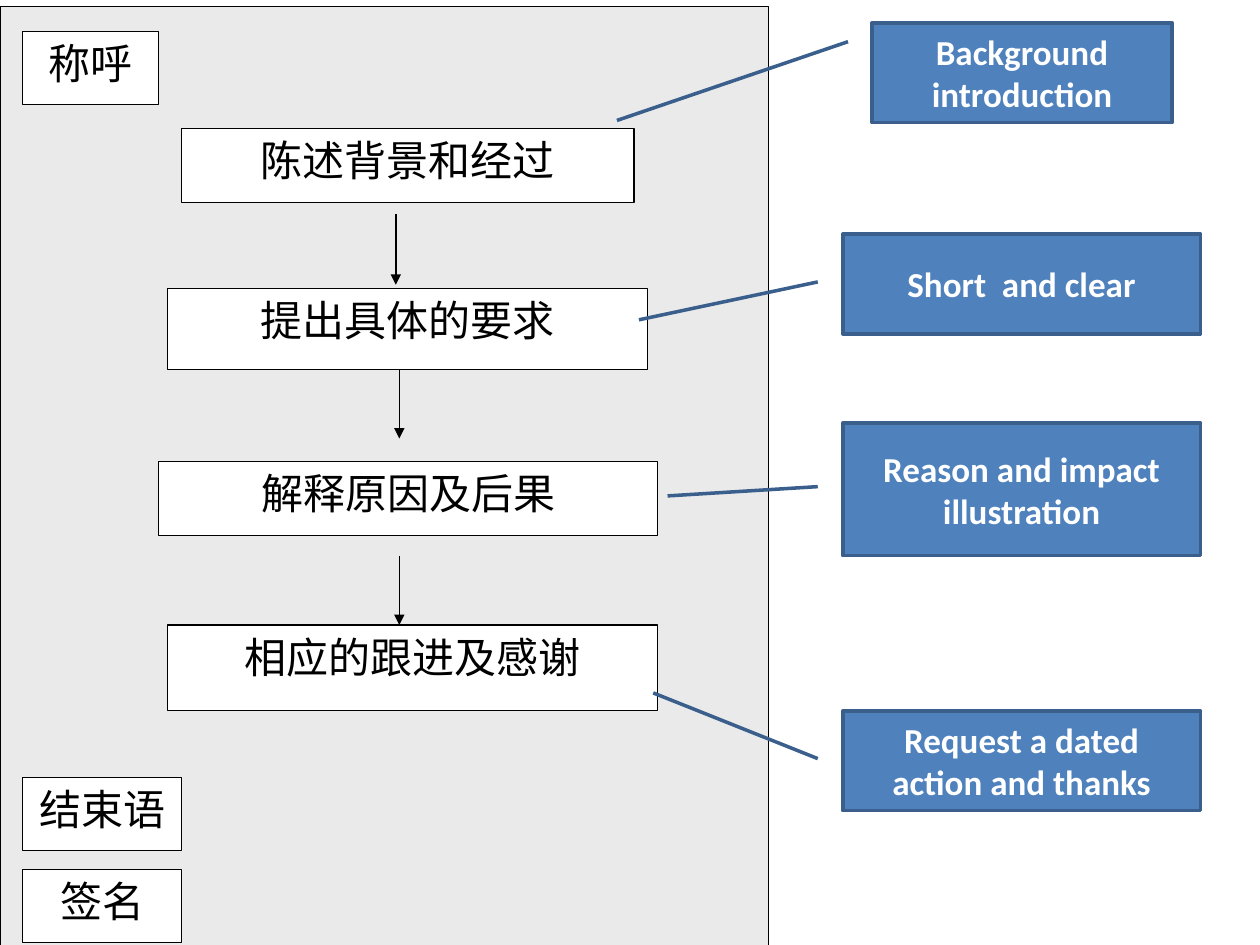
from lxml import etree
from pptx import Presentation
from pptx.dml.color import RGBColor
from pptx.enum.shapes import MSO_CONNECTOR, MSO_SHAPE
from pptx.enum.text import MSO_ANCHOR, PP_ALIGN
from pptx.oxml.ns import qn
from pptx.util import Cm, Pt

RECTANGLE = MSO_SHAPE.RECTANGLE
CALLOUT = MSO_SHAPE.LINE_CALLOUT_1
STRAIGHT = MSO_CONNECTOR.STRAIGHT
TOP, MIDDLE = MSO_ANCHOR.TOP, MSO_ANCHOR.MIDDLE
CENTER = PP_ALIGN.CENTER

CJK_FONT = "Noto Sans CJK SC"
THEME = {
    "panel": {"fill": "EAEAEA", "line": "000000", "width": Pt(0.75)},
    "step": {
        "fill": "FFFFFF", "line": "000000", "width": Pt(0.75),
        "text": "000000", "anchor": TOP,
        "font": {"name": "Times New Roman", "size": Pt(24)},
    },
    "note": {
        "fill": "4F81BD", "line": "3A5F8C", "width": Pt(2),
        "text": "FFFFFF", "anchor": MIDDLE,
        "font": {"name": "Calibri", "size": Pt(20), "bold": True},
    },
}

# Lengths are centimetres: left, top, width, height
SLIDE_SIZE = (25.4, 19.05)
PANEL = (0, 0.13, 15.49, 19.05)
STEPS = [
    ("称呼", (0.46, 0.64, 2.74, 1.47)),
    ("陈述背景和经过", (3.66, 2.59, 9.12, 1.5)),
    ("提出具体的要求", (3.38, 5.82, 9.68, 1.63)),
    ("解释原因及后果", (3.2, 9.3, 10.06, 1.5)),
    ("相应的跟进及感谢", (3.38, 12.6, 9.88, 1.73)),
    ("结束语", (0.46, 15.67, 3.2, 1.47)),
    ("签名", (0.46, 17.53, 3.2, 1.47)),
]
# Arrows run straight down: x, top, bottom
ARROWS = [(7.98, 4.32, 5.74), (8.05, 7.45, 8.84), (8.05, 11.2, 12.6)]
# Pointer: start y, start x, end y, end x, as shares of the callout's size
NOTES = [
    ("Background introduction", (17.58, 0.46, 6.05, 2.01),
     (0.19, -0.08, 0.98, -0.85)),
    ("Short  and clear", (16.99, 4.72, 7.21, 2.01),
     (0.48, -0.07, 0.86, -0.57)),
    ("Reason and impact illustration", (16.99, 8.53, 7.21, 2.67),
     (0.48, -0.07, 0.55, -0.49)),
    ("Request a dated action and thanks", (16.99, 14.33, 7.21, 2.01),
     (0.48, -0.07, -0.18, -0.53)),
]


def color(code):
    return RGBColor.from_string(code)


def add_box(shapes, kind, box, style, text=None):
    shape = shapes.add_shape(kind, *map(Cm, box))
    shape.shadow.inherit = False
    shape.fill.solid()
    shape.fill.fore_color.rgb = color(style["fill"])
    shape.line.color.rgb = color(style["line"])
    shape.line.width = style["width"]
    if text:
        write_text(shape.text_frame, text, style)
    return shape


def write_text(frame, text, style):
    frame.word_wrap = True
    frame.vertical_anchor = style["anchor"]
    paragraph = frame.paragraphs[0]
    paragraph.alignment = CENTER
    run = paragraph.add_run()
    run.text = text
    for name, value in style["font"].items():
        setattr(run.font, name, value)
    run.font.color.rgb = color(style["text"])
    east_asian = etree.SubElement(run.font._element, qn("a:ea"))
    east_asian.set("typeface", CJK_FONT)


def add_down_arrow(shapes, x, top, bottom, style):
    arrow = shapes.add_connector(STRAIGHT, Cm(x), Cm(top), Cm(x), Cm(bottom))
    arrow.line.color.rgb = color(style["line"])
    arrow.line.width = style["width"]
    properties = arrow._element.spPr
    tail = etree.SubElement(properties.find(qn("a:ln")), qn("a:tailEnd"))
    tail.set("type", "triangle")
    etree.SubElement(properties, qn("a:effectLst"))


def main():
    presentation = Presentation()
    presentation.slide_width, presentation.slide_height = map(Cm, SLIDE_SIZE)
    slide = presentation.slides.add_slide(presentation.slide_layouts[6])

    flow = slide.shapes.add_group_shape().shapes
    add_box(flow, RECTANGLE, PANEL, THEME["panel"])
    for text, box in STEPS:
        add_box(flow, RECTANGLE, box, THEME["step"], text)
    for x, top, bottom in ARROWS:
        add_down_arrow(flow, x, top, bottom, THEME["step"])

    for text, box, pointer in NOTES:
        note = add_box(slide.shapes, CALLOUT, box, THEME["note"], text)
        for index, share in enumerate(pointer):
            note.adjustments[index] = share

    presentation.save("out.pptx")


if __name__ == "__main__":
    main()
